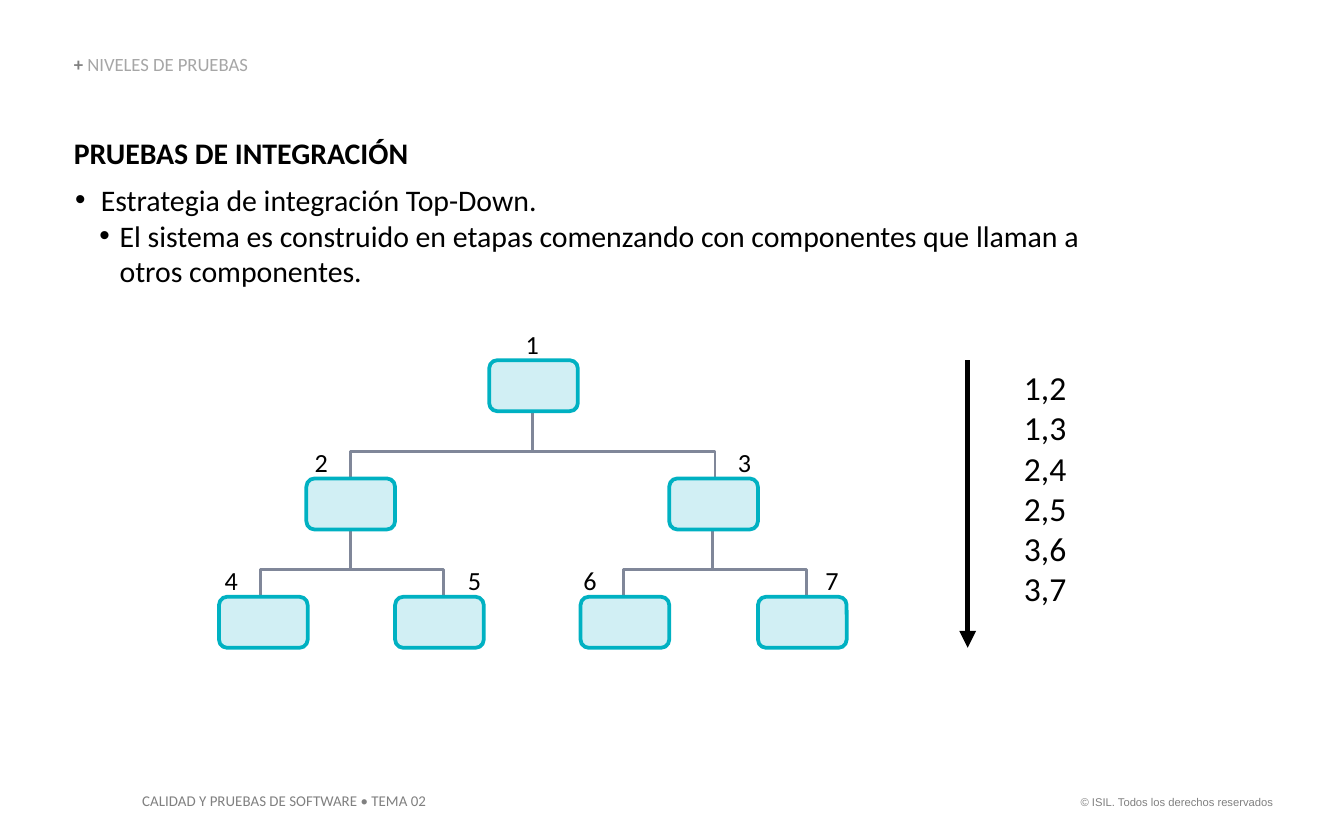
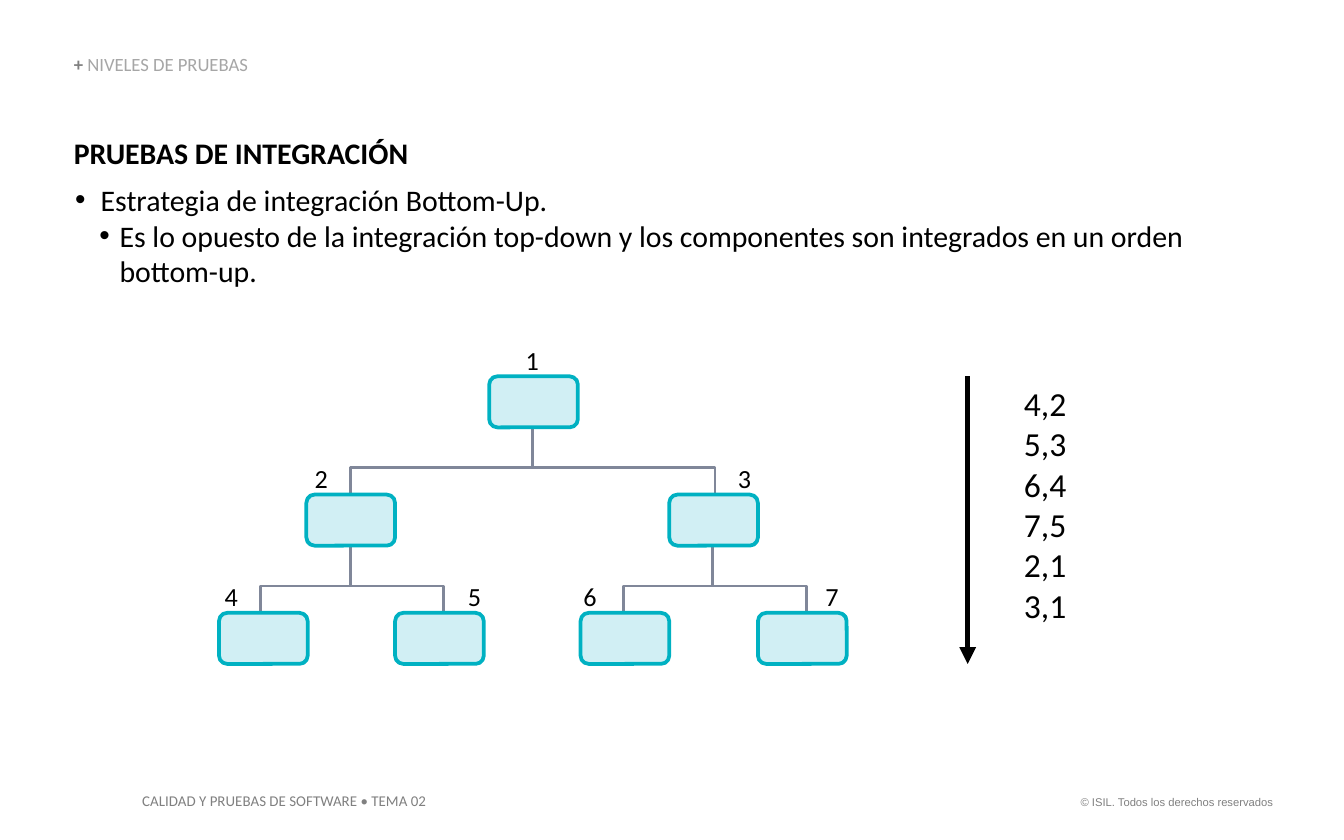
"""Build two slides on top-down and bottom-up integration testing."""
from lxml import etree
from pptx import Presentation
from pptx import util as u
from pptx.dml.color import RGBColor
from pptx.enum import shapes, text
from pptx.oxml import ns

PX = 9144
COLORS = {"ink": "000000", "footer": "808080", "section": "A6A6A6",
          "branch": "808799", "edge": "00B1C2", "node": "D1EFF4"}

SECTION = ("+ ", "NIVELES DE PRUEBAS")
HEADING = "PRUEBAS DE INTEGRACIÓN"
COURSE = "CALIDAD Y PRUEBAS DE SOFTWARE • TEMA 02"
RIGHTS = "© ISIL. Todos los derechos reservados"
STRATEGIES = [
    {"name": "Estrategia de integración Top-Down.",
     "detail": "El sistema es construido en etapas comenzando con componentes "
               "que llaman a otros componentes.",
     "steps": ["1,2", "1,3", "2,4", "2,5", "3,6", "3,7"],
     "width": 788, "tree_top": 268},
    {"name": "Estrategia de integración Bottom-Up.",
     "detail": "Es lo opuesto de la integración top-down y los componentes "
               "son integrados en un orden bottom-up.",
     "steps": ["4,2", "5,3", "6,4", "7,5", "2,1", "3,1"],
     "width": 900, "tree_top": 280},
]

# Each entry: number, tree level, left of component, left of number.
COMPONENTS = [(1, 0, 364, 381), (2, 1, 228, 224), (3, 1, 498, 539),
              (4, 2, 163, 157), (5, 2, 294, 338), (6, 2, 432, 424),
              (7, 2, 564, 604)]
# Each entry: level of parent, stem x, left leg x, right leg x.
BRANCHES = [(0, 396, 261, 532), (1, 261, 194, 330), (1, 530, 464, 600)]
NODE_W, NODE_H, LEVEL_STEP, STEM = 66, 38, 88, 30
NUMBER_W, NUMBER_H = 30, 24
ARROW_X = 720

SECTION_MARK = {"size": 10, "color": "footer", "bold": True}
SECTION_NAME = {"size": 10, "color": "section", "bold": False}
HEADING_FONT = {"size": 16, "bold": True}
BODY_FONT = {"size": 16, "bold": False}
STEP_FONT = {"size": 18}
NUMBER_FONT = {"size": 14}
COURSE_FONT = {"size": 8, "color": "footer"}
RIGHTS_FONT = {"size": 6, "color": "footer", "name": "Arial"}
BULLETS = [(20, -19), (34, -15)]


def rgb(key):
    """Return a palette colour."""
    return RGBColor.from_string(COLORS[key])


def px(*lengths):
    """Turn px lengths into EMU."""
    return [u.Emu(length * PX) for length in lengths]


def write(paragraph, words, style):
    """Add a formatted run to a paragraph."""
    values = {"name": "Calibri", "color": "ink", **style}
    font = paragraph.add_run().font
    paragraph.runs[-1].text = words
    font.color.rgb = rgb(values.pop("color"))
    values["size"] = u.Pt(values["size"])
    for key, value in values.items():
        setattr(font, key, value)


def set_frame(frame, inset=(0, 0), **values):
    """Set the insets and other format values of a text frame."""
    side, end = px(*inset)
    settings = {"word_wrap": True, "auto_size": text.MSO_AUTO_SIZE.SHAPE_TO_FIT_TEXT,
                "margin_left": side, "margin_right": side,
                "margin_top": end, "margin_bottom": end, **values}
    for key, value in settings.items():
        setattr(frame, key, value)


def add_text(slide, area, lines, align=text.PP_ALIGN.LEFT, **frame_values):
    """Add a text box of (words, style) lines and return its paragraphs."""
    frame = slide.shapes.add_textbox(*px(*area)).text_frame
    set_frame(frame, **frame_values)
    for index, (words, style) in enumerate(lines):
        paragraph = frame.add_paragraph() if index else frame.paragraphs[0]
        paragraph.alignment = align
        write(paragraph, words, style)
    return frame.paragraphs


def add_bullet(paragraph, level):
    """Give a paragraph the bullet and indent of its level."""
    paragraph.level = level
    props = paragraph._p.get_or_add_pPr()
    for key, length in zip(("marL", "indent"), px(*BULLETS[level])):
        props.set(key, str(length))
    color = etree.SubElement(props, ns.qn("a:buClr"))
    etree.SubElement(color, ns.qn("a:srgbClr"), val=COLORS["ink"])
    etree.SubElement(props, ns.qn("a:buFont"), typeface="Arial")
    etree.SubElement(props, ns.qn("a:buChar"), char="•")


def set_line(shape, color, width):
    """Set the line colour and width of a shape."""
    shape.line.color.rgb = rgb(color)
    shape.line.width = u.Pt(width)


def add_line(slide, ends, color, width, arrow=False):
    """Add a straight line, with an arrowhead at its end if asked."""
    line = slide.shapes.add_connector(shapes.MSO_CONNECTOR.STRAIGHT, *px(*ends))
    set_line(line, color, width)
    if arrow:
        etree.SubElement(line.line._get_or_add_ln(), ns.qn("a:tailEnd"), type="triangle")
    etree.SubElement(line._element.spPr, ns.qn("a:effectLst"))


def add_frame_texts(slide):
    """Add the section title and the two footers."""
    title = slide.shapes.title
    title.left, title.top, title.width, title.height = px(55, 41, 361, 15)
    set_frame(title.text_frame, vertical_anchor=text.MSO_ANCHOR.BOTTOM)
    section = title.text_frame.paragraphs[0]
    section.alignment, section.line_spacing = text.PP_ALIGN.LEFT, 0.9
    section.space_before = u.Pt(0)
    for words, style in zip(SECTION, (SECTION_MARK, SECTION_NAME)):
        write(section, words, style)
    add_text(slide, (788, 587, 169, 20), [(RIGHTS, RIGHTS_FONT)],
             text.PP_ALIGN.RIGHT, inset=(10, 5), word_wrap=False)
    add_text(slide, (96, 584, 237, 24), [(COURSE, COURSE_FONT)],
             inset=(10, 5), word_wrap=False)


def add_tree(slide, top):
    """Draw the branches, components and numbers of the tree."""
    tops = [top + level * LEVEL_STEP for level in range(3)]
    for level, stem, left, right in BRANCHES:
        bottom = tops[level] + NODE_H
        bar, child = bottom + STEM, tops[level + 1]
        outline = slide.shapes.build_freeform(left, child, scale=PX)
        outline.add_line_segments([(left, bar), (right, bar), (right, child)], close=False)
        bracket = outline.convert_to_shape()
        bracket.fill.background()
        bracket.shadow.inherit = False
        set_line(bracket, "branch", 1.5)
        add_line(slide, (stem, bar, stem, bottom), "branch", 1.5)
    for number, level, left, number_left in COMPONENTS:
        node = slide.shapes.add_shape(shapes.MSO_SHAPE.ROUNDED_RECTANGLE,
                                      *px(left, tops[level], NODE_W, NODE_H))
        node.adjustments[0] = 0.16
        node.shadow.inherit = False
        node.fill.solid()
        node.fill.fore_color.rgb = rgb("node")
        set_line(node, "edge", 2)
        add_text(slide, (number_left, tops[level] - NUMBER_H, NUMBER_W, NUMBER_H),
                 [(str(number), NUMBER_FONT)], text.PP_ALIGN.CENTER)
    add_line(slide, (ARROW_X, top, ARROW_X, tops[-1] + NODE_H), "ink", 3, arrow=True)


def add_strategy(deck, strategy):
    """Add the slide of one integration strategy."""
    slide = deck.slides.add_slide(deck.slide_layouts[5])
    add_frame_texts(slide)
    heading, *points = add_text(
        slide, (55, 100, strategy["width"], 116),
        [(HEADING, HEADING_FONT), (strategy["name"], BODY_FONT),
         (strategy["detail"], BODY_FONT)])
    heading.space_after = u.Pt(6)
    for level, point in enumerate(points):
        add_bullet(point, level)
    add_tree(slide, strategy["tree_top"])
    add_text(slide, (752, strategy["tree_top"], 91, 192),
             [(step, STEP_FONT) for step in strategy["steps"]], inset=(10, 5))


def main():
    """Build and save the deck."""
    deck = Presentation()
    deck.slide_width, deck.slide_height = px(1000, 625)
    for strategy in STRATEGIES:
        add_strategy(deck, strategy)
    deck.save("out.pptx")


if __name__ == "__main__":
    main()
